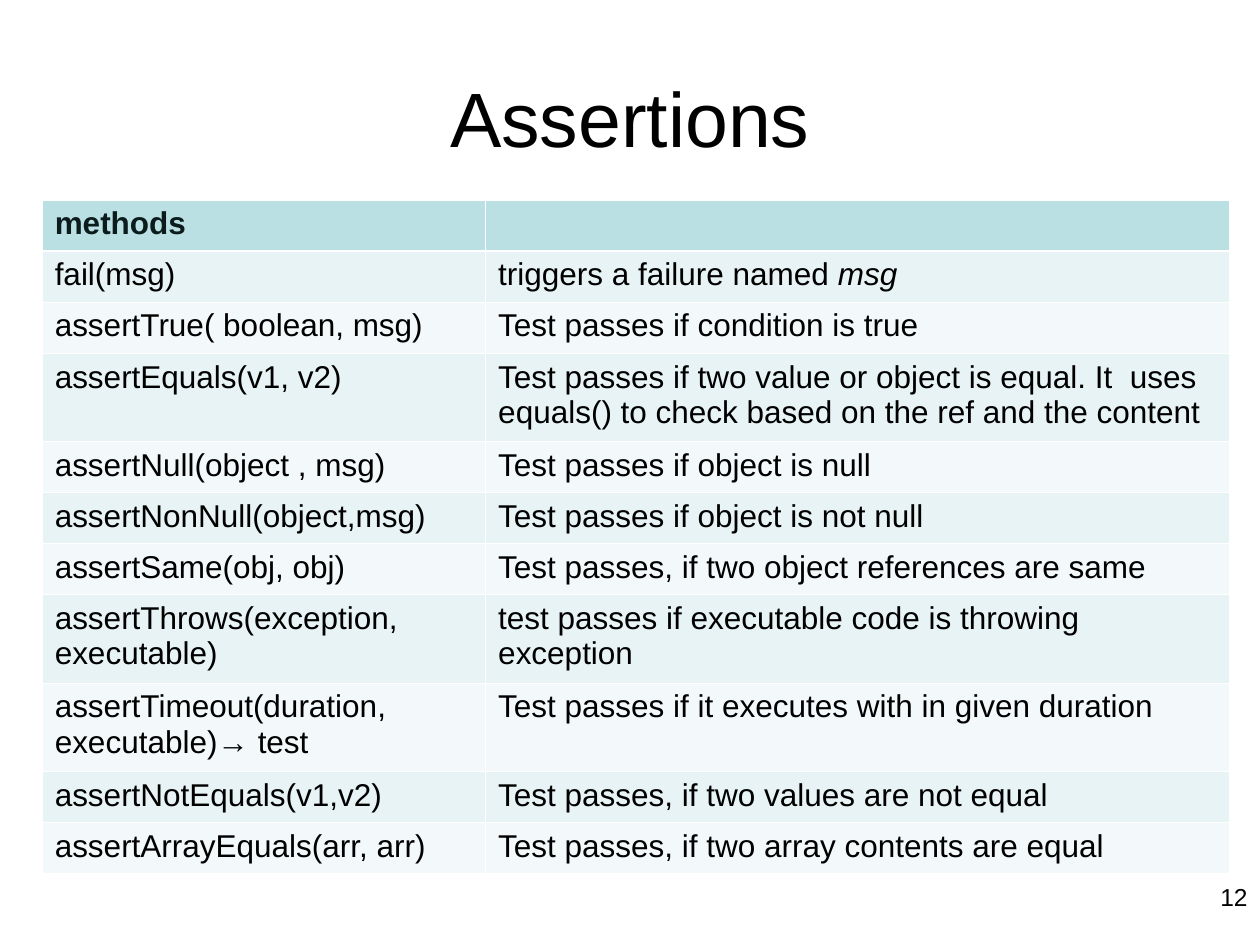
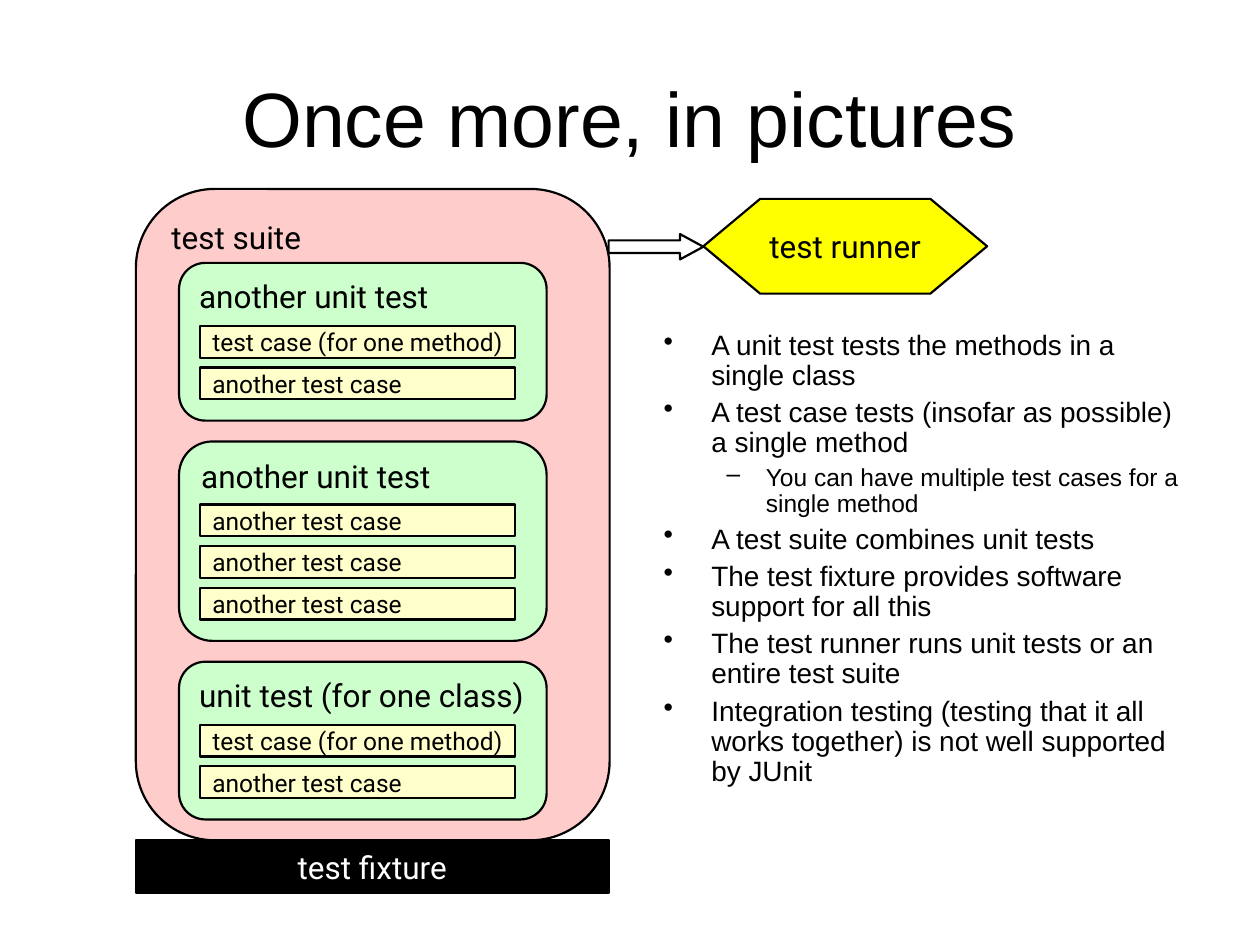
from dataclasses import dataclass

import pptx
import pptx.dml.color
import pptx.enum.shapes
import pptx.enum.text
import pptx.oxml
import pptx.oxml.ns
import pptx.presentation
import pptx.shapes.autoshape
import pptx.slide
import pptx.table
import pptx.text.text
import pptx.util

Cm = pptx.util.Cm
Pt = pptx.util.Pt
ShapeType = pptx.enum.shapes.MSO_SHAPE
Align = pptx.enum.text.PP_ALIGN
Anchor = pptx.enum.text.MSO_ANCHOR

# Shared style
BLACK, WHITE = "000000", "FFFFFF"
HEADER_FILL, HEADER_TEXT = "BBE0E3", "0C1C1D"
BAND_FILLS = ("E7F3F4", "F3F9FA")
SUITE_FILL, UNIT_FILL, CASE_FILL, RUNNER_FILL = "FFCCCC", "CCFFCC", "FFFFCC", "FFFF00"
TEXT_FONT, DIAGRAM_FONT = "Arial", "Roboto"

# Lengths in centimetres
COLUMN_WIDTHS = (8.94, 14.99)
ROW_HEIGHT, TALL_ROW_HEIGHT = 1.03, 1.78
UNIT_LEFT, UNIT_TOP, UNIT_WIDTH, UNIT_GAP = 3.61, 5.3, 7.41, 0.42
CASE_LEFT, CASE_WIDTH, CASE_HEIGHT = 4.03, 6.35, 0.64
CASE_OFFSET, CASE_PITCH, UNIT_PADDING = 1.27, 0.84, 1.5


@dataclass(frozen=True)
class Area:
    left: float
    top: float
    width: float
    height: float

    def lengths(self) -> tuple:
        return Cm(self.left), Cm(self.top), Cm(self.width), Cm(self.height)


@dataclass(frozen=True)
class TextStyle:
    size: float
    font: str = TEXT_FONT
    color: str = BLACK
    align: Align = Align.LEFT
    anchor: Anchor = Anchor.TOP
    bold: bool = False


@dataclass(frozen=True)
class Assertion:
    method: str
    description: str
    emphasis: str = ""
    tall: bool = False


@dataclass(frozen=True)
class UnitTest:
    label: str
    cases: tuple[str, ...]


@dataclass(frozen=True)
class Bullet:
    text: str
    level: int = 0


@dataclass(frozen=True)
class BulletStyle:
    symbol: str
    size: float
    margin: float
    hanging: float
    space_before: float


TITLE_STYLE = TextStyle(44, align=Align.CENTER, anchor=Anchor.MIDDLE)
NUMBER_STYLE = TextStyle(14, align=Align.RIGHT)
CELL_STYLE = TextStyle(18)
HEADER_STYLE = TextStyle(18, color=HEADER_TEXT, bold=True)
GROUP_STYLE = TextStyle(18, DIAGRAM_FONT)
CASE_STYLE = TextStyle(14, DIAGRAM_FONT, anchor=Anchor.MIDDLE)
RUNNER_STYLE = TextStyle(18, DIAGRAM_FONT, align=Align.CENTER, anchor=Anchor.MIDDLE)
FIXTURE_STYLE = TextStyle(18, DIAGRAM_FONT, WHITE, Align.CENTER, Anchor.MIDDLE)
BULLET_STYLES = (
    BulletStyle("•", 16, 0.96, 0.96, 4),
    BulletStyle("–", 14, 2.06, 0.79, 3.5),
)

ASSERTIONS = (
    Assertion("fail(msg)", "triggers a failure named ", emphasis="msg"),
    Assertion("assertTrue( boolean, msg)", "Test passes if condition is true"),
    Assertion(
        "assertEquals(v1, v2)",
        "Test passes if two value or object is equal. It  uses equals() "
        "to check based on the ref and the content",
        tall=True,
    ),
    Assertion("assertNull(object , msg)", "Test passes if object is null"),
    Assertion("assertNonNull(object,msg)", "Test passes if object is not null"),
    Assertion("assertSame(obj, obj)", "Test passes, if two object references are same"),
    Assertion(
        "assertThrows(exception, executable)",
        "test passes if executable code is throwing exception",
        tall=True,
    ),
    Assertion(
        "assertTimeout(duration, executable)→ test",
        "Test passes if it executes with in given duration",
        tall=True,
    ),
    Assertion("assertNotEquals(v1,v2)", "Test passes, if two values are not equal"),
    Assertion("assertArrayEquals(arr, arr)", "Test passes, if two array contents are equal"),
)

METHOD_CASE, OTHER_CASE = "test case (for one method)", "another test case"
UNIT_TESTS = (
    UnitTest("another unit test", (METHOD_CASE, OTHER_CASE)),
    UnitTest("another unit test", (OTHER_CASE,) * 3),
    UnitTest("unit test (for one class)", (METHOD_CASE, OTHER_CASE)),
)

BULLETS = (
    Bullet("A unit test tests the methods in a single class"),
    Bullet("A test case tests (insofar as possible) a single method"),
    Bullet("You can have multiple test cases for a single method", level=1),
    Bullet("A test suite combines unit tests"),
    Bullet("The test fixture provides software support for all this"),
    Bullet("The test runner runs unit tests or an entire test suite"),
    Bullet(
        "Integration testing (testing that it all works together) "
        "is not well supported by JUnit"
    ),
)


# Shared drawing functions
def rgb(color: str) -> pptx.dml.color.RGBColor:
    return pptx.dml.color.RGBColor.from_string(color)


def format_paragraph(paragraph: pptx.text.text._Paragraph, style: TextStyle) -> None:
    paragraph.alignment = style.align
    for run in paragraph.runs:
        run.font.name = style.font
        run.font.size = Pt(style.size)
        run.font.bold = style.bold
        run.font.color.rgb = rgb(style.color)


def set_text(text_frame: pptx.text.text.TextFrame, text: str, style: TextStyle) -> None:
    text_frame.text = text
    text_frame.vertical_anchor = style.anchor
    format_paragraph(text_frame.paragraphs[0], style)


def add_text(slide: pptx.slide.Slide, area: Area, text: str, style: TextStyle) -> None:
    text_frame = slide.shapes.add_textbox(*area.lengths()).text_frame
    text_frame.word_wrap = True
    set_text(text_frame, text, style)


def add_titled_slide(
    presentation: pptx.presentation.Presentation, title: str
) -> pptx.slide.Slide:
    slide = presentation.slides.add_slide(presentation.slide_layouts[6])
    add_text(slide, Area(1.27, 0.76, 22.86, 3.18), title, TITLE_STYLE)
    return slide


def add_outlined_shape(
    slide: pptx.slide.Slide, shape_type: ShapeType, area: Area, fill: str = ""
) -> pptx.shapes.autoshape.Shape:
    shape = slide.shapes.add_shape(shape_type, *area.lengths())
    shape.shadow.inherit = False
    shape.line.color.rgb = rgb(BLACK)
    shape.line.width = Pt(1.25)
    if fill:
        shape.fill.solid()
        shape.fill.fore_color.rgb = rgb(fill)
    else:
        shape.fill.background()
    return shape


def add_box(
    slide: pptx.slide.Slide,
    shape_type: ShapeType,
    area: Area,
    fill: str,
    text: str,
    style: TextStyle,
) -> None:
    shape = add_outlined_shape(slide, shape_type, area, fill)
    shape.text_frame.word_wrap = False
    set_text(shape.text_frame, text, style)


# Table of assertions
def set_borders(cell: pptx.table._Cell, top: float, bottom: float) -> None:
    properties = cell._tc.get_or_add_tcPr()
    for side, width in (("L", 0.45), ("R", 0.45), ("T", top), ("B", bottom)):
        properties.append(pptx.oxml.parse_xml(
            f'<a:ln{side} {pptx.oxml.ns.nsdecls("a")} w="{Pt(width)}">'
            f'<a:solidFill><a:srgbClr val="{WHITE}"/></a:solidFill></a:ln{side}>'
        ))


def fill_cell(cell: pptx.table._Cell, text: str, row: int) -> None:
    set_borders(cell, 1.47 if row == 1 else 0.45, 1.47 if row == 0 else 0.45)
    cell.fill.solid()
    fill = BAND_FILLS[(row - 1) % 2] if row else HEADER_FILL
    cell.fill.fore_color.rgb = rgb(fill)
    set_text(cell.text_frame, text, CELL_STYLE if row else HEADER_STYLE)


def add_assertion_table(slide: pptx.slide.Slide) -> None:
    rows = (Assertion("methods", ""),) + ASSERTIONS
    heights = [TALL_ROW_HEIGHT if row.tall else ROW_HEIGHT for row in rows]
    area = Area(0.85, 4.03, sum(COLUMN_WIDTHS), sum(heights))
    table = slide.shapes.add_table(len(rows), 2, *area.lengths()).table
    table.first_row = table.horz_banding = False
    for column, width in zip(table.columns, COLUMN_WIDTHS):
        column.width = Cm(width)
    for index, (assertion, height) in enumerate(zip(rows, heights)):
        table.rows[index].height = Cm(height)
        fill_cell(table.cell(index, 0), assertion.method, index)
        description = table.cell(index, 1)
        fill_cell(description, assertion.description, index)
        if assertion.emphasis:
            paragraph = description.text_frame.paragraphs[0]
            run = paragraph.add_run()
            run.text = assertion.emphasis
            run.font.italic = True
            format_paragraph(paragraph, CELL_STYLE)


# Test suite diagram
def add_unit_tests(slide: pptx.slide.Slide) -> None:
    top = UNIT_TOP
    for unit in UNIT_TESTS:
        height = UNIT_PADDING + len(unit.cases) * CASE_PITCH
        add_box(slide, ShapeType.FLOWCHART_ALTERNATE_PROCESS,
                Area(UNIT_LEFT, top, UNIT_WIDTH, height), UNIT_FILL, unit.label, GROUP_STYLE)
        for index, case in enumerate(unit.cases):
            case_top = top + CASE_OFFSET + index * CASE_PITCH
            add_box(slide, ShapeType.FLOWCHART_PROCESS,
                    Area(CASE_LEFT, case_top, CASE_WIDTH, CASE_HEIGHT),
                    CASE_FILL, case, CASE_STYLE)
        top += height + UNIT_GAP


def add_diagram(slide: pptx.slide.Slide) -> None:
    add_box(slide, ShapeType.FLOWCHART_ALTERNATE_PROCESS, Area(2.74, 3.81, 9.55, 13.13),
            SUITE_FILL, "test suite", GROUP_STYLE)
    add_unit_tests(slide)
    add_box(slide, ShapeType.FLOWCHART_PROCESS, Area(2.74, 16.94, 9.53, 1.07),
            BLACK, "test fixture", FIXTURE_STYLE)
    add_box(slide, ShapeType.FLOWCHART_PREPARATION, Area(14.18, 4.01, 5.72, 1.91),
            RUNNER_FILL, "test runner", RUNNER_STYLE)
    arrow = add_outlined_shape(slide, ShapeType.RIGHT_ARROW, Area(12.27, 4.72, 1.91, 0.51))
    arrow.adjustments[1] = 0.92


def add_bullets(slide: pptx.slide.Slide) -> None:
    text_frame = slide.shapes.add_textbox(*Area(13.13, 6.55, 11, 11.86).lengths()).text_frame
    text_frame.word_wrap = True
    for index, bullet in enumerate(BULLETS):
        paragraph = text_frame.add_paragraph() if index else text_frame.paragraphs[0]
        style = BULLET_STYLES[bullet.level]
        paragraph.text = bullet.text
        paragraph.level = bullet.level
        properties = paragraph._p.get_or_add_pPr()
        properties.set("marL", str(Cm(style.margin)))
        properties.set("indent", str(-Cm(style.hanging)))
        properties.append(pptx.oxml.parse_xml(
            f'<a:buChar {pptx.oxml.ns.nsdecls("a")} char="{style.symbol}"/>'
        ))
        paragraph.line_spacing = 0.9
        paragraph.space_before = Pt(style.space_before if index else 0)
        format_paragraph(paragraph, TextStyle(style.size))


def main() -> None:
    presentation = pptx.Presentation()
    presentation.slide_width, presentation.slide_height = Cm(25.4), Cm(19.05)

    assertions = add_titled_slide(presentation, "Assertions")
    add_text(assertions, Area(19.48, 17.65, 5.92, 1.02), "12", NUMBER_STYLE)
    add_assertion_table(assertions)

    pictures = add_titled_slide(presentation, "Once more, in pictures")
    add_diagram(pictures)
    add_bullets(pictures)

    presentation.save("out.pptx")


if __name__ == "__main__":
    main()
